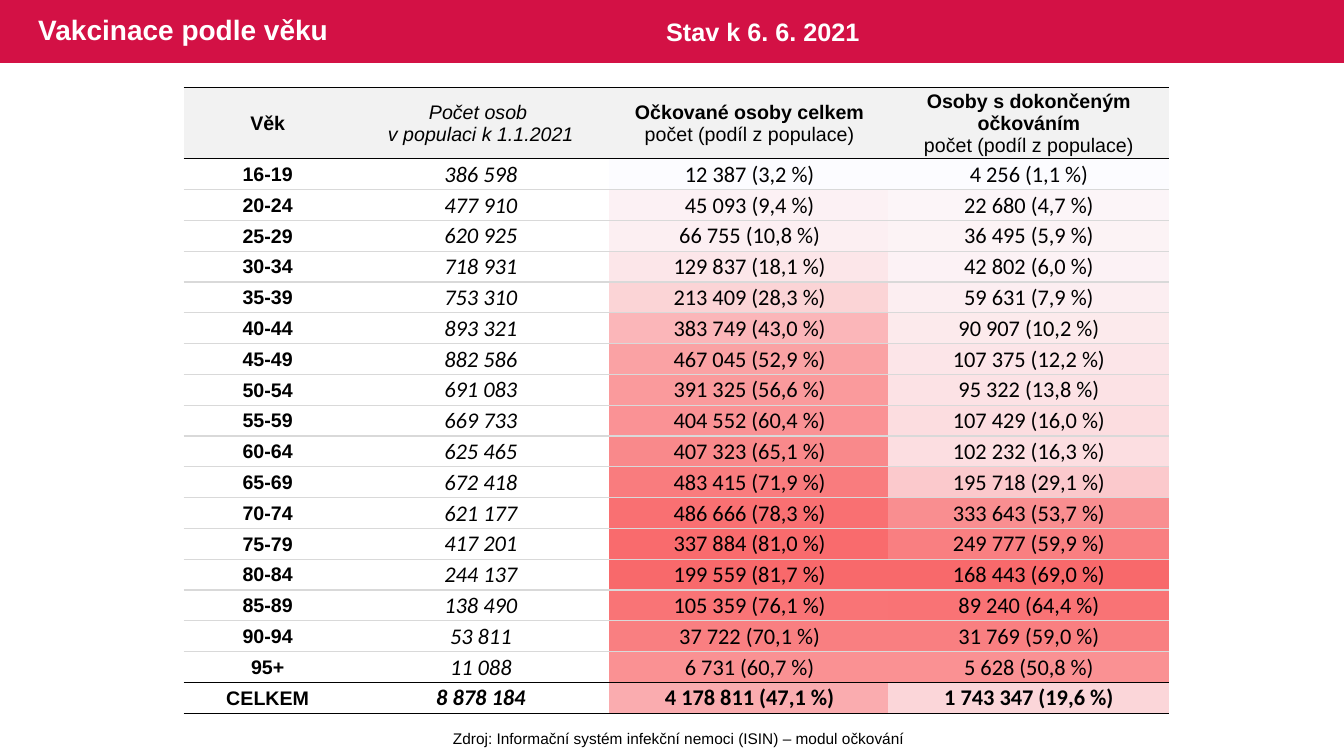
from lxml import etree
from pptx import Presentation
from pptx import util as u
from pptx.dml.color import RGBColor
from pptx.enum import shapes, text
from pptx.oxml.ns import qn

PX = 9525
COLORS = {
    "banner": "D31145", "white": "FFFFFF", "black": "000000",
    "header": "F2F2F2", "grid": "D9D9D9",
}
COL_WIDTHS = [160, 246, 266, 266]
HEAT_WIDTHS = [266, 267]
TABLE_TOP, HEADER_H, BODY_H = 83, 68, 528

HEADER = [
    [("Věk", "b")],
    [("Počet osob ", "i"), ("v populaci k 1.1.2021", "i")],
    [("Očkované osoby celkem", "b"), ("počet (podíl z populace)", "")],
    [("Osoby s dokončeným očkováním", "b"), ("počet (podíl z populace)", "")],
]
ROWS = [
    ("16-19", "386 598", "12 387 (3,2 %)", "4 256 (1,1 %)", "FCFCFF", "FCFCFF"),
    ("20-24", "477 910", "45 093 (9,4 %)", "22 680 (4,7 %)", "FCF1F4", "FCF5F8"),
    ("25-29", "620 925", "66 755 (10,8 %)", "36 495 (5,9 %)", "FCEFF2", "FCF3F5"),
    ("30-34", "718 931", "129 837 (18,1 %)", "42 802 (6,0 %)", "FCE6E9", "FCF2F5"),
    ("35-39", "753 310", "213 409 (28,3 %)", "59 631 (7,9 %)", "FBD4D6", "FCEEF1"),
    ("40-44", "893 321", "383 749 (43,0 %)", "90 907 (10,2 %)", "FBB6B9", "FCEAEC"),
    ("45-49", "882 586", "467 045 (52,9 %)", "107 375 (12,2 %)", "FAA2A4", "FCE5E8"),
    ("50-54", "691 083", "391 325 (56,6 %)", "95 322 (13,8 %)", "FA9A9C", "FCE2E5"),
    ("55-59", "669 733", "404 552 (60,4 %)", "107 429 (16,0 %)", "FA9295", "FCDDE0"),
    ("60-64", "625 465", "407 323 (65,1 %)", "102 232 (16,3 %)", "F9898B", "FCDEE1"),
    ("65-69", "672 418", "483 415 (71,9 %)", "195 718 (29,1 %)", "F97C7E", "FBC9CC"),
    ("70-74", "621 177", "486 666 (78,3 %)", "333 643 (53,7 %)", "F97072", "F98E90"),
    ("75-79", "417 201", "337 884 (81,0 %)", "249 777 (59,9 %)", "F96B6D", "F97F81"),
    ("80-84", "244 137", "199 559 (81,7 %)", "168 443 (69,0 %)", "F8696B", "F8696B"),
    ("85-89", "138 490", "105 359 (76,1 %)", "89 240 (64,4 %)", "F97476", "F97375"),
    ("90-94", "53 811", "37 722 (70,1 %)", "31 769 (59,0 %)", "F97F81", "F97F81"),
    ("95+", "11 088", "6 731 (60,7 %)", "5 628 (50,8 %)", "FA9193", "FA9193"),
    ("CELKEM", "8 878 184", "4 178 811 (47,1 %)", "1 743 347 (19,6 %)", "FAACAF", "FBD6D9"),
]


def px(*values):
    """Turn pixel lengths into EMU."""
    return [u.Emu(v * PX) for v in values]


def add_run(p, words, size, color, style="", font="Arial"):
    """Add one run whose style letters mean bold and italic."""
    r = p.add_run()
    r.text = words
    r.font.name, r.font.size = font, u.Pt(size)
    r.font.bold, r.font.italic = "b" in style, "i" in style
    r.font.color.rgb = RGBColor.from_string(color)


def add_banner(s):
    """Draw the coloured band across the top."""
    sp = s.shapes.add_shape(shapes.MSO_SHAPE.RECTANGLE, *px(0, 0, 1280, 60))
    sp.shadow.inherit = False
    sp.fill.solid()
    sp.fill.fore_color.rgb = RGBColor.from_string(COLORS["banner"])
    sp.line.fill.background()


def add_label(s, box, words, size, color, style="", wrap=True):
    """Add a one-line text box and return its text frame."""
    tf = s.shapes.add_textbox(*px(*box)).text_frame
    tf.word_wrap = wrap
    add_run(tf.paragraphs[0], words, size, color, style)
    return tf


def set_borders(cell, top=None, bottom=None):
    """Give a cell its top and bottom rules and no side rules."""
    tc_pr = cell._tc.get_or_add_tcPr()
    sides = {"a:lnL": None, "a:lnR": None, "a:lnT": top, "a:lnB": bottom}
    for i, (tag, color) in enumerate(sides.items()):
        ln = etree.Element(qn(tag), w=str(u.Pt(1)))
        fill = etree.SubElement(ln, qn("a:solidFill" if color else "a:noFill"))
        if color:
            etree.SubElement(fill, qn("a:srgbClr"), val=color)
        tc_pr.insert(i, ln)


def fill_cell(cell, lines, size, font, fill=None):
    """Write centred lines of text into a cell and fill it."""
    cell.margin_left, cell.margin_top, cell.margin_right, cell.margin_bottom = px(1, 1, 1, 0)
    cell.vertical_anchor = text.MSO_ANCHOR.MIDDLE
    if fill:
        cell.fill.solid()
        cell.fill.fore_color.rgb = RGBColor.from_string(fill)
    else:
        cell.fill.background()
    tf = cell.text_frame
    for i, (words, style) in enumerate(lines):
        p = tf.add_paragraph() if i else tf.paragraphs[0]
        p.alignment = text.PP_ALIGN.CENTER
        add_run(p, words, size, COLORS["black"], style, font)
    if not lines:
        etree.SubElement(tf.paragraphs[0]._p, qn("a:endParaRPr"), sz=str(size * 100))


def add_grid(s, left, top, widths, rows, height):
    """Add an unstyled table with the body row height and return it."""
    table = s.shapes.add_table(rows, len(widths), *px(left, top, sum(widths), height)).table
    table.first_row = table.horz_banding = False
    for column, width in zip(table.columns, px(*widths)):
        column.width = width
    for row in table.rows:
        row.height = BODY_H * PX // len(ROWS)
    return table


def add_heat_table(s):
    """Build the colour scale that lies behind the two share columns."""
    table = add_grid(s, 580, TABLE_TOP + HEADER_H, HEAT_WIDTHS, len(ROWS), BODY_H)
    for row, (*_, started, finished) in zip(table.rows, ROWS):
        for cell, heat in zip(row.cells, (started, finished)):
            set_borders(cell)
            fill_cell(cell, [], 12, "Calibri", heat)


def add_age_table(s):
    """Build the table of vaccination by age."""
    last = len(ROWS)
    table = add_grid(s, 175, TABLE_TOP, COL_WIDTHS, last + 1, HEADER_H + BODY_H)
    table.rows[0].height = HEADER_H * PX

    rules = [COLORS["black" if i in (0, 1, last, last + 1) else "grid"] for i in range(last + 2)]
    for i, row in enumerate(table.rows):
        for cell in row.cells:
            set_borders(cell, rules[i], rules[i + 1])
    for c, lines in enumerate(HEADER):
        fill_cell(table.cell(0, c), lines, 14, "Arial", COLORS["header"])
    for i, (age, population, started, finished, *_) in enumerate(ROWS, 1):
        weight = "b" if i == last else ""
        fill_cell(table.cell(i, 0), [(age, "b")], 14, "Arial")
        fill_cell(table.cell(i, 1), [(population, "i" + weight)], 16, "Calibri")
        for c, count in enumerate((started, finished), 2):
            fill_cell(table.cell(i, c), [(count, weight)], 16, "Calibri")


def main():
    """Build the slide and save it."""
    prs = Presentation()
    prs.slide_width, prs.slide_height = px(1280, 720)
    s = prs.slides.add_slide(prs.slide_layouts[6])
    add_banner(s)
    add_heat_table(s)
    title = add_label(s, (27, 0, 780, 60), "Vakcinace podle věku", 20, COLORS["white"], "b")
    title.vertical_anchor = text.MSO_ANCHOR.MIDDLE
    title.paragraphs[0].line_spacing = 0.9
    add_label(s, (625, 11, 284, 38), "Stav k 6. 6. 2021", 18, COLORS["white"], "b")
    source = add_label(s, (421, 690, 451, 28),
                       "Zdroj: Informační systém infekční nemoci (ISIN) – modul očkování",
                       11, COLORS["black"], wrap=False)
    source.paragraphs[0].alignment = text.PP_ALIGN.CENTER
    add_age_table(s)
    prs.save("out.pptx")


if __name__ == "__main__":
    main()
